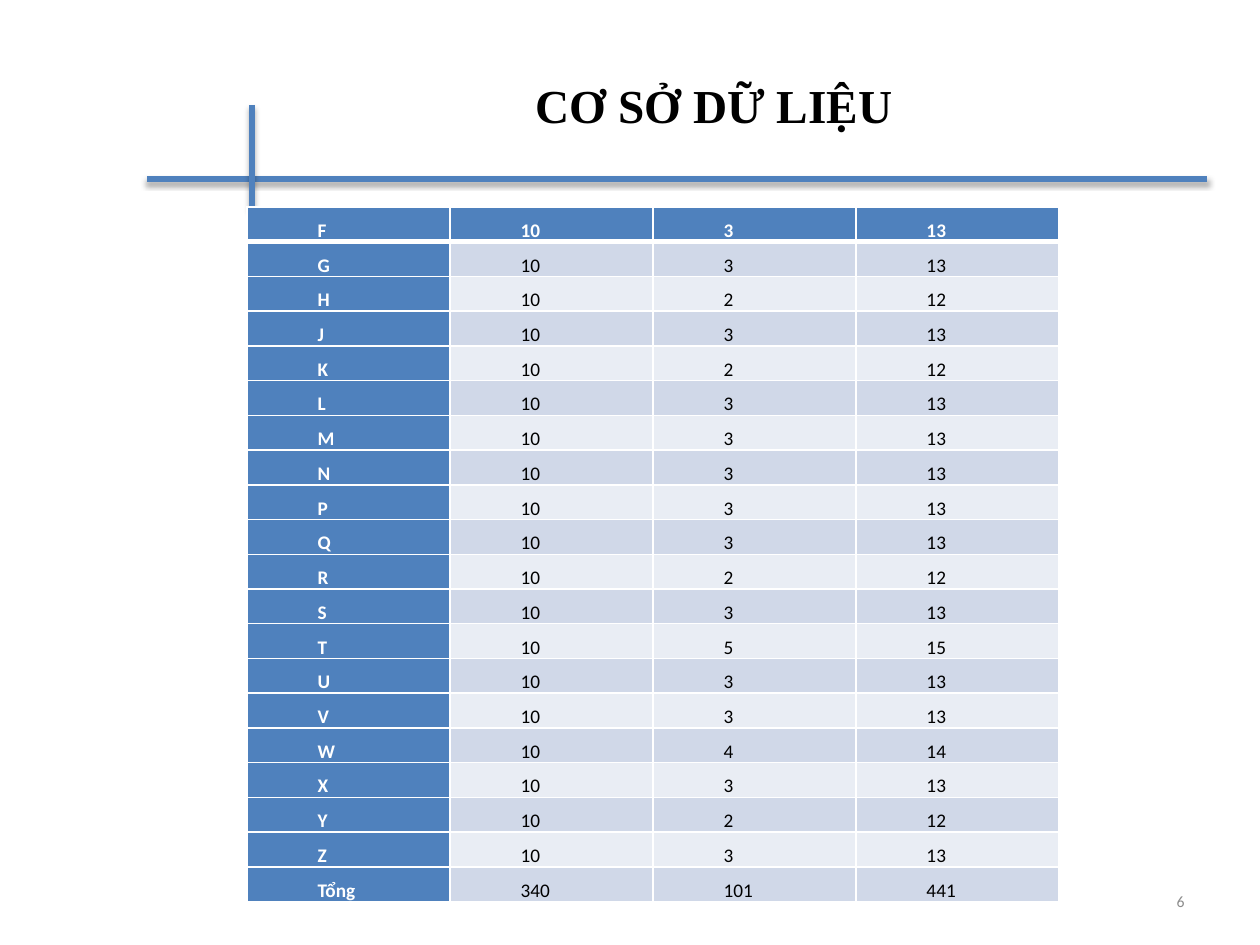
"""Build the database summary slide: title, crossed rules and a table of sample counts."""
import dataclasses
import typing

import pptx
import pptx.dml.color
import pptx.enum.shapes
import pptx.enum.text
import pptx.oxml
import pptx.oxml.ns
import pptx.slide
import pptx.text.text
import pptx.util

ALIGN = pptx.enum.text.PP_ALIGN
ANCHOR = pptx.enum.text.MSO_ANCHOR


@dataclasses.dataclass(frozen=True)
class Theme:
    accent: str = "4F81BD"
    white: str = "FFFFFF"
    black: str = "000000"
    grey: str = "8C8C8C"
    odd_band: str = "D0D8E8"
    even_band: str = "E9EDF4"
    title_font: str = "Times New Roman"
    body_font: str = "Calibri"
    title_size: int = 27
    cell_size: int = 11
    number_size: int = 9
    rule_width: int = 3
    border_width: int = 1
    header_border_width: int = 3


class Rule(typing.NamedTuple):
    start_x: int
    start_y: int
    end_x: int
    end_y: int


class Area(typing.NamedTuple):
    left: int
    top: int
    width: int
    height: int


class Count(typing.NamedTuple):
    label: str
    first: int
    second: int

    def texts(self) -> list[str]:
        return [self.label, str(self.first), str(self.second), str(self.first + self.second)]


THEME = Theme()
PX_PER_INCH = 126
RULES = [Rule(147, 179, 1207, 179), Rule(252, 105, 252, 210)]
TITLE_AREA = Area(147, 26, 1134, 158)
NUMBER_AREA = Area(903, 876, 294, 50)
TABLE_AREA = Area(247, 207, 812, 660)
LETTERS = "FGHJKLMNPQRSTUVWXYZ"
SECOND_COUNTS = [3, 3, 2, 3, 2, 3, 3, 3, 3, 3, 2, 3, 5, 3, 3, 4, 3, 2, 3]
COUNTS = [Count(letter, 10, second) for letter, second in zip(LETTERS, SECOND_COUNTS)]
COUNTS.append(Count("Tổng", 340, 101))


def px(length: int) -> pptx.util.Emu:
    return pptx.util.Emu(round(length * pptx.util.Inches(1) / PX_PER_INCH))


def rgb(color: str) -> pptx.dml.color.RGBColor:
    return pptx.dml.color.RGBColor.from_string(color)


def apply(target: typing.Any, values: dict[str, typing.Any]) -> None:
    for name, value in values.items():
        setattr(target, name, value)


def scaled(area: Area) -> dict[str, pptx.util.Emu]:
    return {name: px(length) for name, length in area._asdict().items()}


def write(para: pptx.text.text._Paragraph, text: str, font: str, size: int,
          color: str, bold: bool = False) -> None:
    span = para.add_run()
    span.text = text
    apply(span.font, {"name": font, "size": pptx.util.Pt(size), "bold": bold})
    span.font.color.rgb = rgb(color)


def draw_rule(page: pptx.slide.Slide, rule: Rule) -> None:
    line = page.shapes.add_connector(
        pptx.enum.shapes.MSO_CONNECTOR.STRAIGHT, *(px(length) for length in rule))
    line.line.color.rgb = rgb(THEME.accent)
    line.line.width = pptx.util.Pt(THEME.rule_width)
    line.element.spPr.append(pptx.oxml.parse_xml(
        f'<a:effectLst {pptx.oxml.ns.nsdecls("a")}>'
        '<a:outerShdw blurRad="39370" dist="22860" dir="5400000" rotWithShape="0">'
        f'<a:srgbClr val="{THEME.black}"><a:alpha val="35000"/></a:srgbClr>'
        '</a:outerShdw></a:effectLst>'))


def draw_title(page: pptx.slide.Slide, text: str) -> None:
    title = page.shapes.title
    apply(title, scaled(TITLE_AREA))
    apply(title.text_frame, {"vertical_anchor": ANCHOR.MIDDLE, "word_wrap": True})
    para = title.text_frame.paragraphs[0]
    para.alignment = ALIGN.CENTER
    write(para, text, THEME.title_font, THEME.title_size, THEME.black, bold=True)


def draw_number(page: pptx.slide.Slide, text: str) -> None:
    box = page.shapes.add_textbox(**scaled(NUMBER_AREA))
    apply(box.text_frame, {"vertical_anchor": ANCHOR.MIDDLE, "word_wrap": True})
    para = box.text_frame.paragraphs[0]
    para.alignment = ALIGN.RIGHT
    write(para, text, THEME.body_font, THEME.number_size, THEME.grey)


def set_borders(cell: typing.Any, row: int) -> None:
    widths = dict.fromkeys("LRTB", THEME.border_width)
    if row == 0:
        widths["B"] = THEME.header_border_width
    elif row == 1:
        widths["T"] = THEME.header_border_width
    properties = cell._tc.get_or_add_tcPr()
    for index, (side, width) in enumerate(widths.items()):
        properties.insert(index, pptx.oxml.parse_xml(
            f'<a:ln{side} {pptx.oxml.ns.nsdecls("a")} w="{pptx.util.Pt(width)}"><a:solidFill>'
            f'<a:srgbClr val="{THEME.white}"/></a:solidFill></a:ln{side}>'))


def fill_cell(cell: typing.Any, text: str, row: int, column: int) -> None:
    heading = row == 0 or column == 0
    band = THEME.odd_band if row % 2 else THEME.even_band
    inset = pptx.util.Inches(0.06)
    apply(cell, {"margin_left": inset, "margin_right": inset, "margin_top": 0,
                 "margin_bottom": 0, "vertical_anchor": ANCHOR.TOP})
    cell.fill.solid()
    cell.fill.fore_color.rgb = rgb(THEME.accent if heading else band)
    set_borders(cell, row)
    para = cell.text_frame.paragraphs[0]
    apply(para, {"alignment": ALIGN.JUSTIFY, "line_spacing": 1.5,
                 "space_after": pptx.util.Pt(6)})
    indents = para._p.get_or_add_pPr()
    indents.set("marL", "0")
    indents.set("indent", str(pptx.util.Inches(0.5)))
    write(para, text, THEME.body_font, THEME.cell_size,
          THEME.white if heading else THEME.black, bold=heading)


def draw_table(page: pptx.slide.Slide, counts: list[Count]) -> None:
    table = page.shapes.add_table(len(counts), 4, **scaled(TABLE_AREA)).table
    table.first_col = True
    for row, count in enumerate(counts):
        for column, text in enumerate(count.texts()):
            fill_cell(table.cell(row, column), text, row, column)


def main() -> None:
    deck = pptx.Presentation()
    apply(deck, {"slide_width": px(1260), "slide_height": px(945)})
    page = deck.slides.add_slide(deck.slide_layouts.get_by_name("Title Only"))
    for rule in RULES:
        draw_rule(page, rule)
    draw_number(page, "6")
    draw_title(page, "CƠ SỞ DỮ LIỆU")
    draw_table(page, COUNTS)
    deck.save("out.pptx")


if __name__ == "__main__":
    main()
